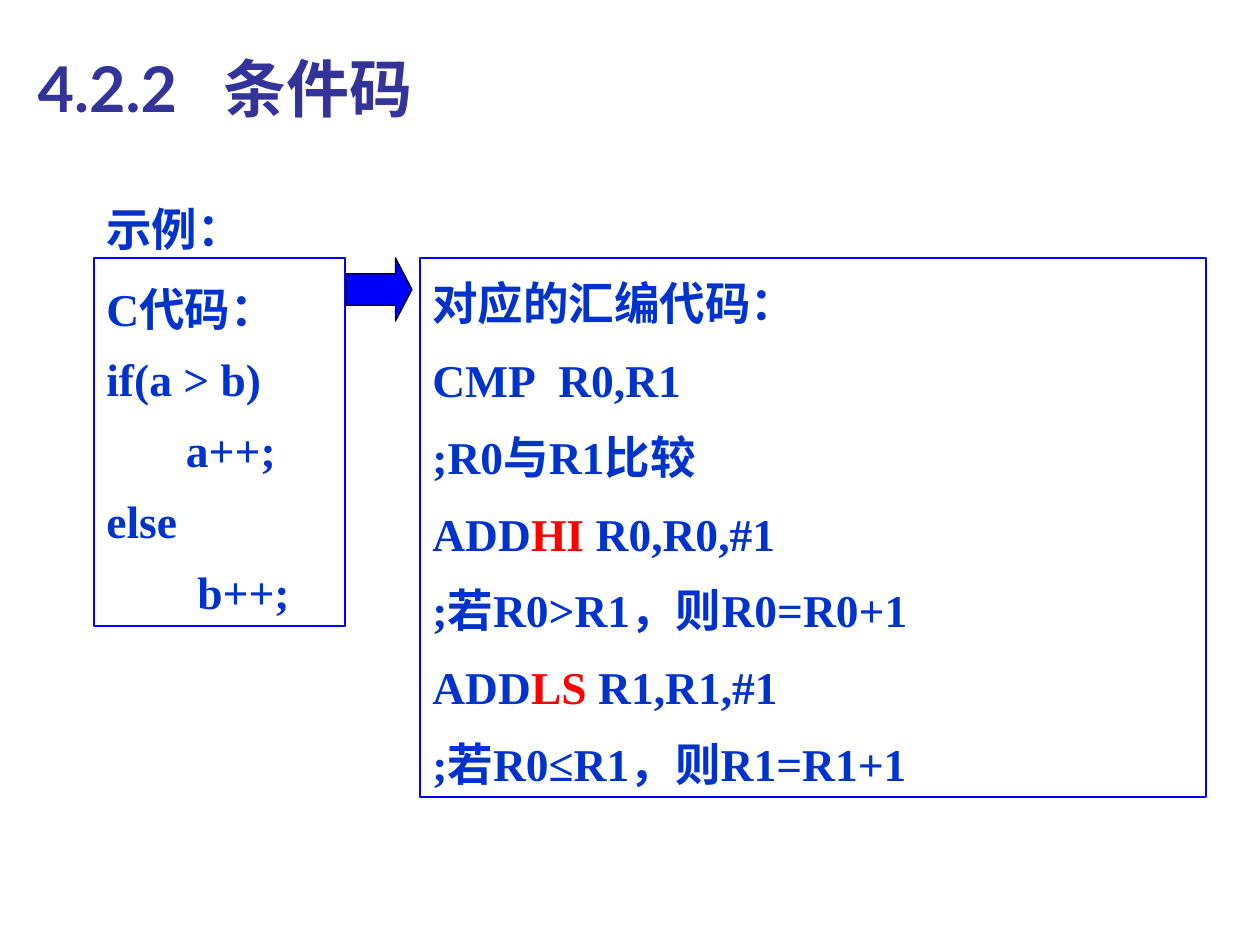
from dataclasses import dataclass

from pptx import Presentation
from pptx.dml.color import RGBColor
from pptx.enum.lang import MSO_LANGUAGE_ID as Language
from pptx.enum.shapes import MSO_SHAPE as Shape
from pptx.enum.text import MSO_ANCHOR as Anchor
from pptx.enum.text import MSO_AUTO_SIZE as AutoSize
from pptx.enum.text import PP_ALIGN as Align
from pptx.oxml.ns import qn
from pptx.util import Pt

EMU_PER_PX = 914400 // 126
TITLE_ONLY = 5
TAB_STEP = 126
TITLE_TAB = 186


@dataclass(frozen=True)
class Theme:
    title: RGBColor = RGBColor(0x33, 0x33, 0x99)
    text: RGBColor = RGBColor(0x00, 0x33, 0xCC)
    accent: RGBColor = RGBColor(0xFF, 0x00, 0x00)
    frame: RGBColor = RGBColor(0x00, 0x00, 0xFF)
    outline: RGBColor = RGBColor(0x00, 0x00, 0x00)
    title_font: str = "Lato"
    body_font: str = "Times New Roman"
    title_size: int = 36
    body_size: int = 26


THEME = Theme()

C_LINES = ["C代码：", "if(a > b)", "       a++;", "else", "        b++;"]
ASSEMBLY_LINES = [
    "对应的汇编代码：",
    "CMP\tR0,R1",
    ";R0与R1比较",
    "ADD|HI |R0,R0,#1",
    ";若R0>R1，则R0=R0+1",
    "ADD|LS |R1,R1,#1",
    ";若R0≤R1，则R1=R1+1",
]


def px(*lengths):
    return [length * EMU_PER_PX for length in lengths]


def set_tab(paragraph, position):
    properties = paragraph._p.get_or_add_pPr()
    tabs = properties.makeelement(qn("a:tabLst"), {})
    tab = tabs.makeelement(qn("a:tab"), {"pos": str(px(position)[0]), "algn": "l"})
    tabs.append(tab)
    properties.append(tabs)


def format_run(run, name, size, color):
    font = run.font
    font.name, font.size, font.bold = name, Pt(size), True
    font.color.rgb = color
    font.language_id = Language.SIMPLIFIED_CHINESE


def write_line(paragraph, line):
    for index, part in enumerate(line.split("|")):
        run = paragraph.add_run()
        run.text = part
        color = THEME.accent if index % 2 else THEME.text
        format_run(run, THEME.body_font, THEME.body_size, color)


def add_title(slide, text, box):
    title = slide.shapes.title
    title.left, title.top, title.width, title.height = px(*box)
    frame = title.text_frame
    frame.text = text
    frame.vertical_anchor = Anchor.MIDDLE
    frame.auto_size = AutoSize.NONE
    paragraph = frame.paragraphs[0]
    paragraph.alignment = Align.LEFT
    set_tab(paragraph, TITLE_TAB)
    for run in paragraph.runs:
        format_run(run, THEME.title_font, THEME.title_size, THEME.title)


def add_label(slide, text, box):
    frame = slide.shapes.add_textbox(*px(*box)).text_frame
    frame.word_wrap = True
    frame.auto_size = AutoSize.SHAPE_TO_FIT_TEXT
    write_line(frame.paragraphs[0], text)


def add_code_box(slide, lines, box, line_spacing, space_before=0):
    shape = slide.shapes.add_shape(Shape.RECTANGLE, *px(*box))
    shape.shadow.inherit = False
    shape.fill.background()
    shape.line.color.rgb = THEME.frame
    shape.line.width = Pt(1.5)
    frame = shape.text_frame
    frame.word_wrap = True
    frame.vertical_anchor = Anchor.TOP
    frame.auto_size = AutoSize.SHAPE_TO_FIT_TEXT
    for index, line in enumerate(lines):
        paragraph = frame.add_paragraph() if index else frame.paragraphs[0]
        paragraph.alignment = Align.JUSTIFY
        paragraph.line_spacing = line_spacing
        if index:
            paragraph.space_before = Pt(space_before)
        if "\t" in line:
            set_tab(paragraph, TAB_STEP)
        write_line(paragraph, line)


def add_arrow(slide, box):
    arrow = slide.shapes.add_shape(Shape.RIGHT_ARROW, *px(*box))
    arrow.adjustments[0] = 0.5
    arrow.adjustments[1] = 0.26
    arrow.shadow.inherit = False
    arrow.fill.solid()
    arrow.fill.fore_color.rgb = THEME.frame
    arrow.line.color.rgb = THEME.outline
    arrow.line.width = Pt(0.75)


def main():
    presentation = Presentation()
    presentation.slide_width, presentation.slide_height = px(1260, 945)
    slide = presentation.slides.add_slide(presentation.slide_layouts[TITLE_ONLY])
    add_code_box(slide, C_LINES, (94, 258, 251, 368), 1.3)
    add_code_box(slide, ASSEMBLY_LINES, (420, 258, 786, 539), 1.2, 6.5)
    add_arrow(slide, (346, 258, 66, 63))
    add_label(slide, "示例：", (94, 195, 328, 68))
    add_title(slide, "4.2.2\t条件码", (25, 29, 987, 116))
    presentation.save("out.pptx")


if __name__ == "__main__":
    main()
